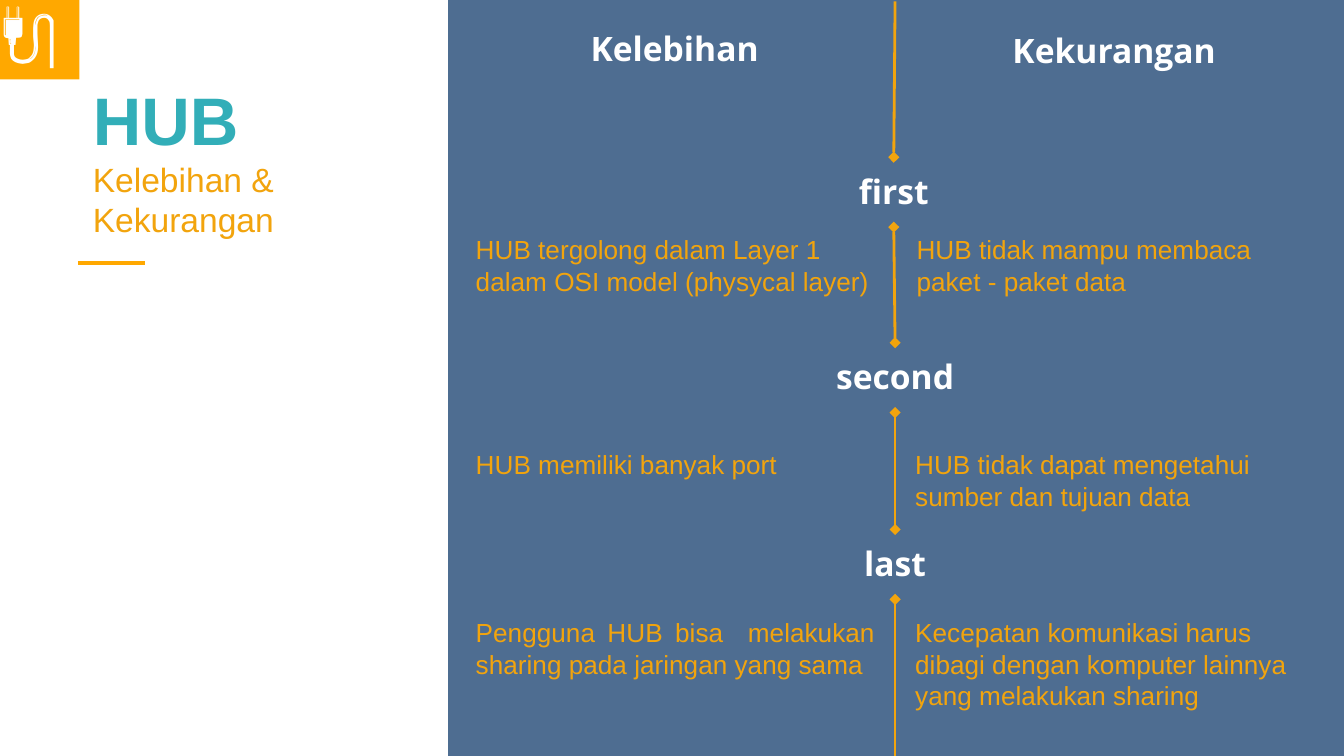
from dataclasses import dataclass
from typing import Optional

from lxml import etree
from pptx import Presentation
from pptx.dml.color import RGBColor
from pptx.enum.shapes import MSO_CONNECTOR, MSO_SHAPE
from pptx.enum.text import MSO_ANCHOR, MSO_AUTO_SIZE, PP_ALIGN
from pptx.oxml.ns import qn
from pptx.util import Inches, Pt

LINE, RECT = MSO_CONNECTOR.STRAIGHT, MSO_SHAPE.RECTANGLE
LEFT, MID, FULL = PP_ALIGN.LEFT, PP_ALIGN.CENTER, PP_ALIGN.JUSTIFY
NONE, GROW = MSO_AUTO_SIZE.NONE, MSO_AUTO_SIZE.SHAPE_TO_FIT_TEXT
TOP, BOTTOM = 0, 2  # connection sites

# Square grid: 100 columns across the slide, 56.25 rows down
WIDE, HIGH = Inches(10), Inches(5.625)
COLS, ROWS = 100, 56.25
CELL = WIDE / COLS


@dataclass(frozen=True)
class Theme:
    panel: str = "325680"
    amber: str = "FFA800"
    gold: str = "F2A40D"
    teal: str = "32AEB8"
    white: str = "FFFFFF"
    sans: str = "Arial"
    head: str = "Open Sans"
    big: int = 36
    mid: int = 18
    small: int = 14
    pad: float = 1
    slim: float = 0.5


@dataclass(frozen=True)
class Box:
    x: float
    y: float
    w: float
    h: float

    def emu(self) -> list[int]:
        return [cell(v) for v in (self.x, self.y, self.w, self.h)]


@dataclass(frozen=True)
class Face:
    name: str
    size: int
    color: str
    bold: bool = False


@dataclass(frozen=True)
class Note:
    text: str
    x: float
    y: float
    h: float
    align: PP_ALIGN = LEFT


@dataclass(frozen=True)
class Step:
    text: str
    x: float
    y: float


T = Theme()
HEAD = Face(T.head, T.mid, T.white, True)
BODY = Face(T.sans, T.small, T.gold)
PLUG = Face(T.head, T.big, T.white)
NAME = Face(T.sans, T.big, T.teal, True)
SUB = Face(T.sans, T.mid, T.gold)

HEAD_W, HEAD_H, NOTE_W = 24.8, 5.2, 30.7
AXIS = 66.6
TOPICS = [Step("Kelebihan", 37.8, 1.1), Step("Kekurangan", 70.5, 1.2)]
STEPS = [Step("first", 54.1, 11.7), Step("second", 54.2, 25.5),
         Step("last", 54.2, 39.4)]
NOTES = [
    Note("HUB tergolong dalam Layer 1 dalam OSI model (physycal layer)",
         34.9, 16.9, 5.7),
    Note("HUB memiliki banyak port", 34.9, 32.9, 3.4, FULL),
    Note("Pengguna HUB bisa  melakukan sharing pada jaringan yang sama",
         34.9, 45.4, 5.7, FULL),
    Note("HUB tidak mampu membaca paket - paket data", 67.7, 16.9, 5.7),
    Note("HUB tidak dapat mengetahui sumber dan tujuan data",
         67.6, 32.9, 5.7),
    Note("Kecepatan komunikasi harus dibagi dengan komputer lainnya "
         "yang melakukan sharing", 67.6, 45.4, 8.1),
]


def cell(n: float) -> int:
    return round(n * CELL)


def put(obj, **vals) -> None:
    """Set each named attribute of obj."""
    for key, val in vals.items():
        setattr(obj, key, val)


def style(run, face: Face) -> None:
    put(run.font, name=face.name, size=Pt(face.size), bold=face.bold)
    run.font.color.rgb = RGBColor.from_string(face.color)


def frame(shape, pad: float, **vals) -> None:
    sides = ("left", "top", "right", "bottom")
    put(shape.text_frame, **{f"margin_{s}": cell(pad) for s in sides}, **vals)


def write(slide, text: str, box: Box, face: Face, align: PP_ALIGN,
          pad: float, **vals):
    shape = slide.shapes.add_textbox(*box.emu())
    frame(shape, pad, **vals)
    para = shape.text_frame.paragraphs[0]
    para.alignment = align
    run = para.add_run()
    run.text = text
    style(run, face)
    return shape


def label(slide, step: Step):
    box = Box(step.x, step.y, HEAD_W, HEAD_H)
    return write(slide, step.text, box, HEAD, MID, T.pad,
                 word_wrap=True, auto_size=NONE)


def block(slide, box: Box, color: str, alpha: Optional[int] = None) -> None:
    """Draw a plain rectangle; alpha is its opacity in percent."""
    shape = slide.shapes.add_shape(RECT, *box.emu())
    shape.shadow.inherit = False
    shape.fill.solid()
    shape.fill.fore_color.rgb = RGBColor.from_string(color)
    shape.line.fill.background()
    if alpha is not None:
        tint = shape.fill._xPr.find(".//" + qn("a:srgbClr"))
        etree.SubElement(tint, qn("a:alpha"), val=str(alpha * 1000))


def rule(slide, x: float, y: float, x2: float, y2: float, color: str,
         width: float, above=None, below=None) -> None:
    """Draw a line, joined with a diamond to the label above or below it."""
    line = slide.shapes.add_connector(LINE, *map(cell, (x, y, x2, y2)))
    line.line.width = Pt(width)
    line.line.color.rgb = RGBColor.from_string(color)
    etree.SubElement(line._element.spPr, qn("a:effectLst"))
    ln = line.line._get_or_add_ln()
    if above is not None:
        line.begin_connect(above, BOTTOM)
        etree.SubElement(ln, qn("a:headEnd"), type="diamond")
    if below is not None:
        line.end_connect(below, TOP)
        etree.SubElement(ln, qn("a:tailEnd"), type="diamond")


def title(slide) -> None:
    shape = slide.shapes.title
    put(shape, **dict(zip(("left", "top", "width", "height"),
                          Box(5.9, 0, 17.3, 18.8).emu())))
    frame(shape, T.pad, word_wrap=True, auto_size=NONE,
          vertical_anchor=MSO_ANCHOR.BOTTOM)
    para = shape.text_frame.paragraphs[0]
    para.alignment = LEFT
    for i, (text, face) in enumerate([("HUB", NAME),
                                      ("Kelebihan & Kekurangan", SUB)]):
        if i:
            para.add_line_break()
        run = para.add_run()
        run.text = text
        style(run, face)


def main() -> None:
    deck = Presentation()
    put(deck, slide_width=WIDE, slide_height=HIGH)
    slide = deck.slides.add_slide(deck.slide_layouts[5])

    block(slide, Box(COLS / 3, 0, COLS * 2 / 3, ROWS), T.panel, 86)
    rule(slide, 5.8, 19.6, 10.8, 19.6, T.amber, 2.25)
    block(slide, Box(0, 0, 5.9, 5.9), T.amber)
    title(slide)

    for topic in TOPICS:
        label(slide, topic)
    marks = [label(slide, step) for step in STEPS]
    for above, below in zip([None, *marks], [*marks, None]):
        rule(slide, AXIS, 0.1, AXIS, ROWS, T.gold, 1.5, above, below)

    for note in NOTES:
        write(slide, note.text, Box(note.x, note.y, NOTE_W, note.h), BODY,
              note.align, T.slim, word_wrap=True, auto_size=GROW)
    write(slide, "🔌", Box(-0.4, -1.2, 7.1, 7.1), PLUG, LEFT, T.slim,
          word_wrap=False, auto_size=GROW)
    deck.save("out.pptx")


if __name__ == "__main__":
    main()
